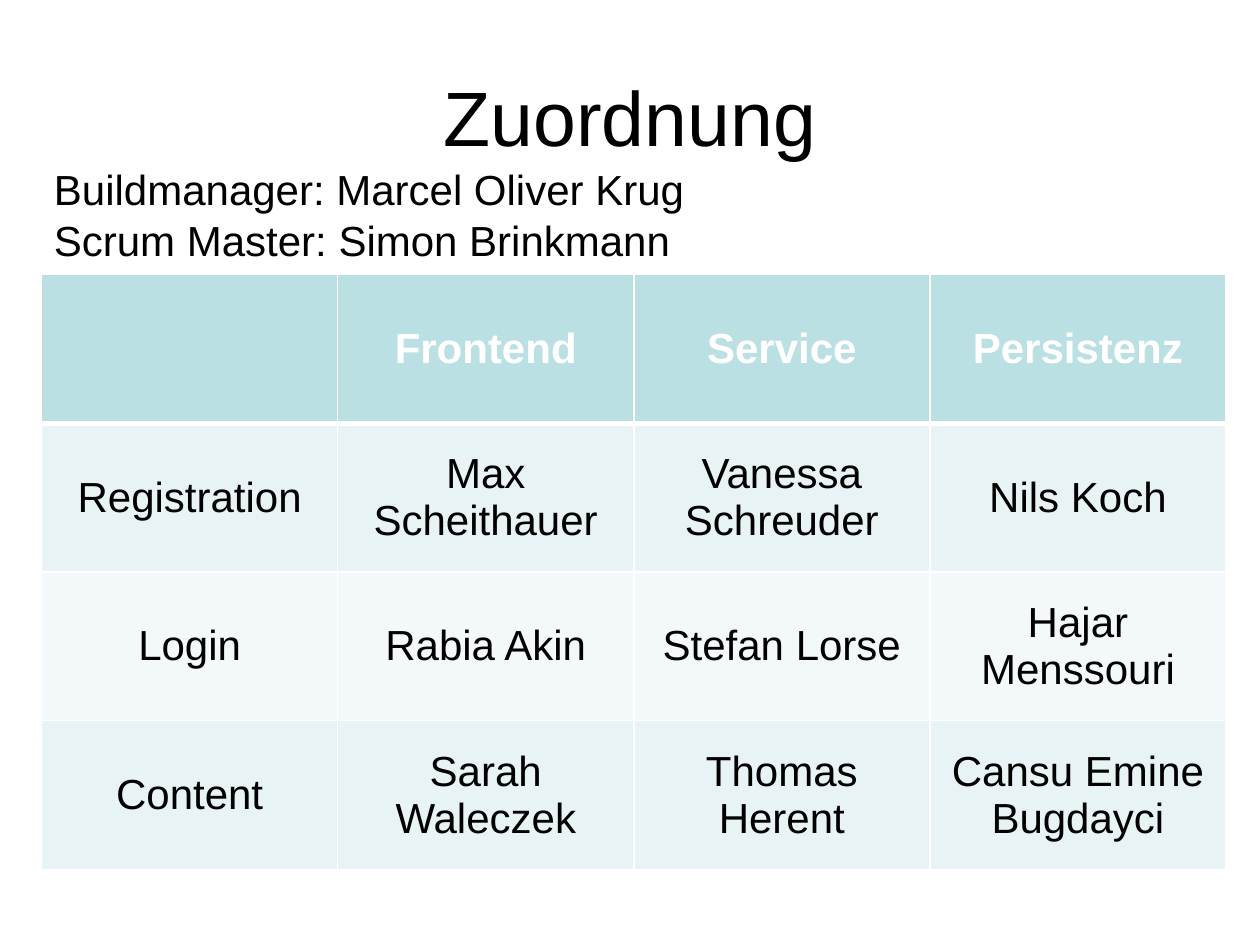
import pptx
import pptx.util
import pptx.dml.color
import pptx.enum.text
import pptx.oxml

Inches, Pt = pptx.util.Inches, pptx.util.Pt
ALIGN, ANCHOR = pptx.enum.text.PP_ALIGN, pptx.enum.text.MSO_ANCHOR


def color(code):
    return pptx.dml.color.RGBColor.from_string(code)


class Board:
    """Style of the deck and its current slide."""
    face, ink, paper = "Arial", "000000", "FFFFFF"
    head, bands = "BBE0E3", ("E7F3F4", "F3F9FA")

    def __init__(self, deck):
        self.slide = deck.slides.add_slide(deck.slide_layouts[6])

    def label(self, frame, lines, size, ink, align, bold=False):
        for i, line in enumerate(lines):
            para = frame.add_paragraph() if i else frame.paragraphs[0]
            para.text = line
            para.alignment = align
            font = para.font
            font.name, font.size, font.bold = self.face, Pt(size), bold
            font.color.rgb = color(ink)

    def text(self, box, lines, size, align=ALIGN.LEFT, anchor=ANCHOR.TOP,
             wrap=True):
        frame = self.slide.shapes.add_textbox(*map(Inches, box)).text_frame
        frame.word_wrap = wrap
        frame.vertical_anchor = anchor
        self.label(frame, lines, size, self.ink, align)

    def border(self, cell, side, width):
        props = cell._tc.get_or_add_tcPr()
        line = pptx.oxml.parse_xml(
            '<a:ln%s xmlns:a="http://schemas.openxmlformats.org/drawingml/'
            '2006/main" w="%d"><a:solidFill><a:srgbClr val="%s"/>'
            '</a:solidFill></a:ln%s>' % (side, Pt(width), self.paper, side))
        props.append(line)

    def table(self, box, rows, size):
        shape = self.slide.shapes.add_table(
            len(rows), len(rows[0]), *map(Inches, box))
        for r, row in enumerate(rows):
            fill = self.bands[(r - 1) % 2] if r else self.head
            ink = self.ink if r else self.paper
            for c, word in enumerate(row):
                cell = shape.table.cell(r, c)
                cell.vertical_anchor = ANCHOR.MIDDLE
                # Thick rule between the header and the body
                thick = {0: "B", 1: "T"}.get(r)
                for side in "LRTB":
                    self.border(cell, side, 3 if side == thick else 1)
                cell.fill.solid()
                cell.fill.fore_color.rgb = color(fill)
                self.label(cell.text_frame, [word], size, ink,
                           ALIGN.CENTER, bold=r == 0)


deck = pptx.Presentation()
deck.slide_width, deck.slide_height = Inches(10), Inches(7.5)
board = Board(deck)

# Title and roles
board.text((0.75, 0.33, 8.5, 1.17), ["Zuordnung"], 44,
           ALIGN.CENTER, ANCHOR.MIDDLE)
board.text((0.33, 1.25, 5.26, 0.91),
           ["Buildmanager: Marcel Oliver Krug",
            "Scrum Master: Simon Brinkmann"], 24, wrap=False)

# Assignment table
board.table((0.33, 2.18, 9.4, 4.72), [
    ("", "Frontend", "Service", "Persistenz"),
    ("Registration", "Max Scheithauer", "Vanessa Schreuder", "Nils Koch"),
    ("Login", "Rabia Akin", "Stefan Lorse", "Hajar Menssouri"),
    ("Content", "Sarah Waleczek", "Thomas Herent", "Cansu Emine Bugdayci"),
], 24)

deck.save("out.pptx")
